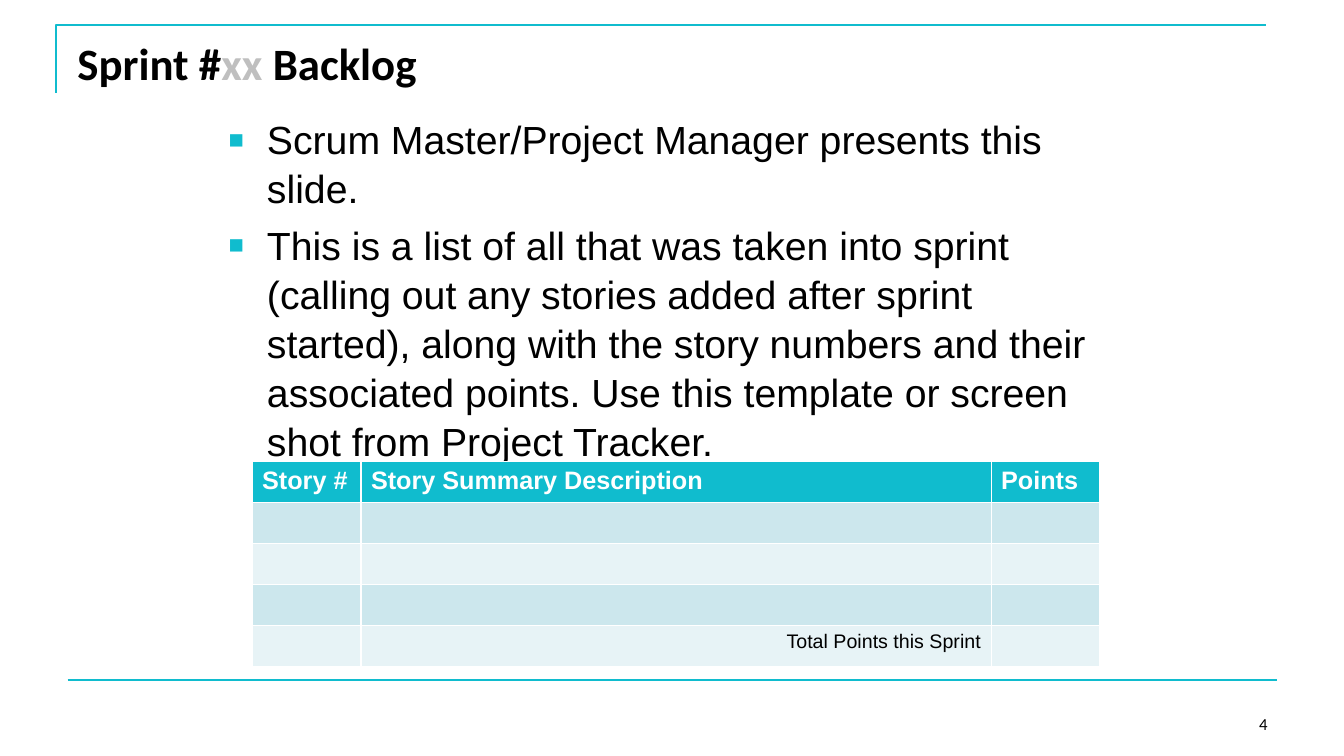
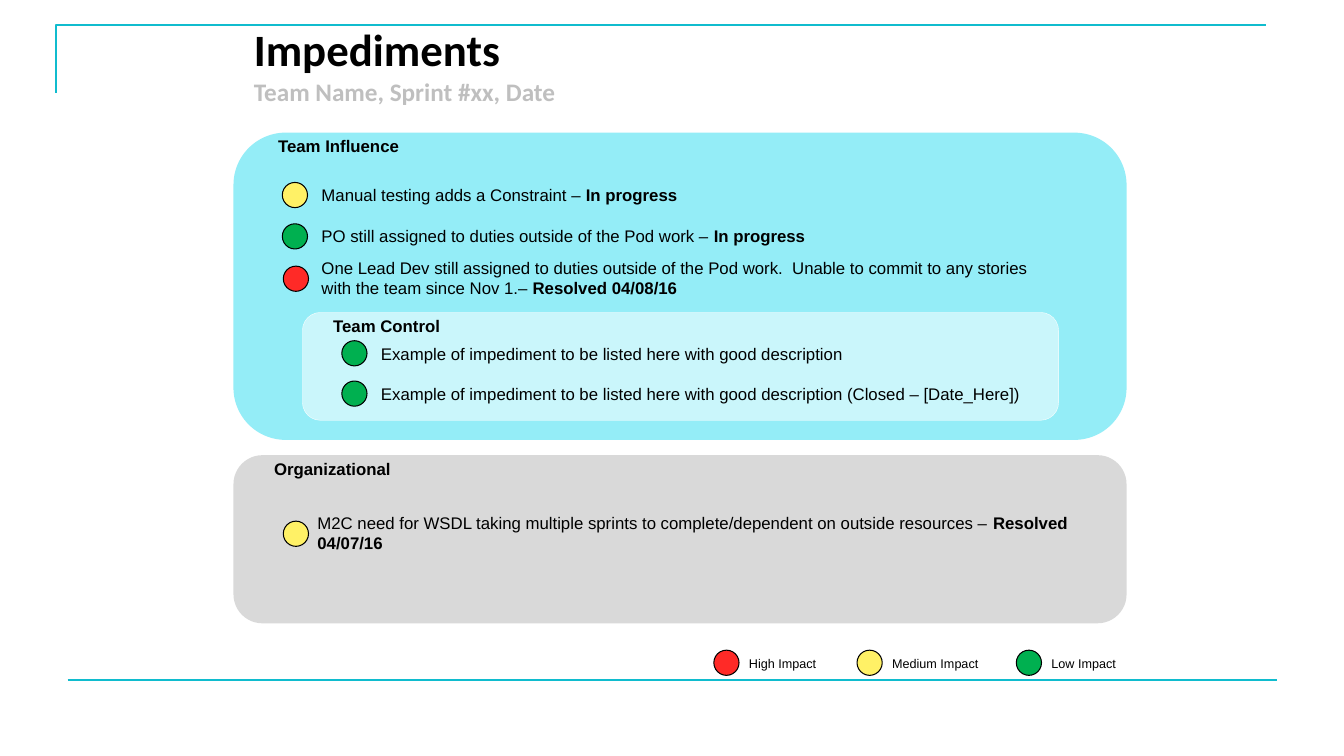
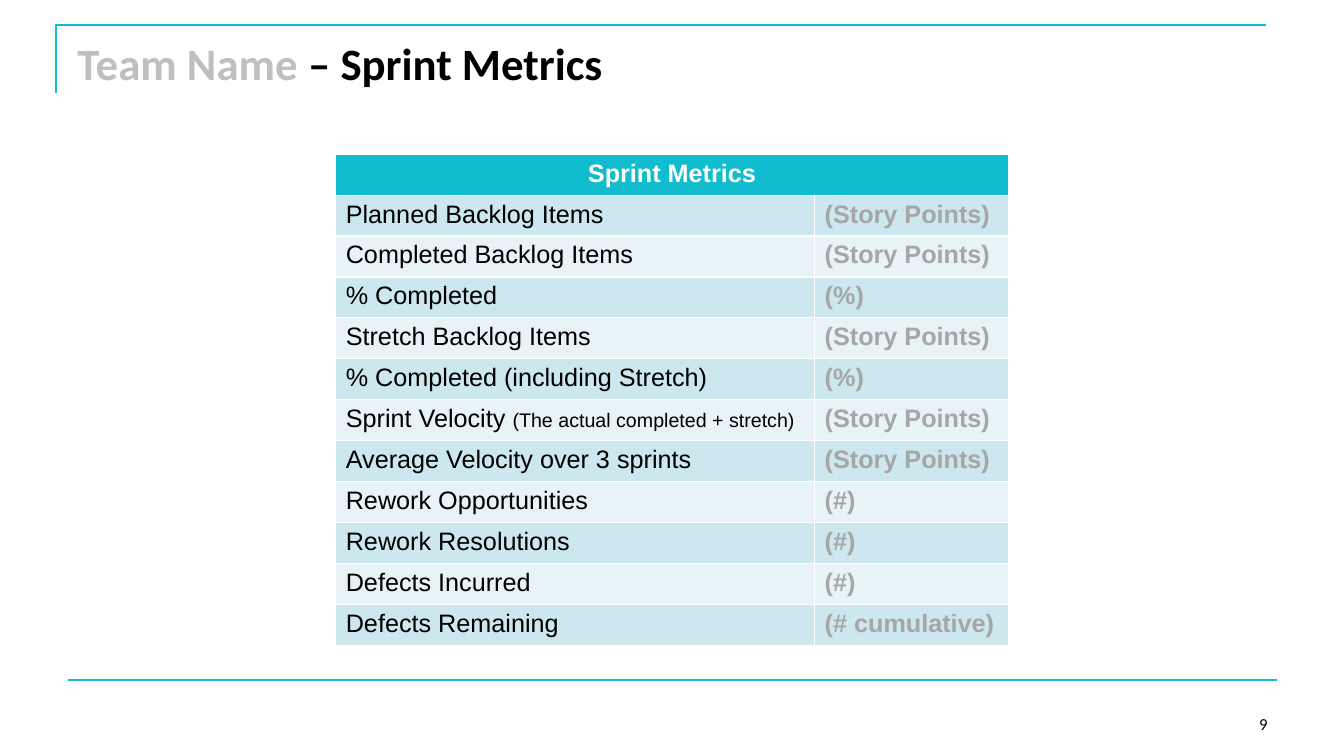
"""Build three sprint review slides: backlog, impediments and metrics."""
from dataclasses import dataclass
from typing import NamedTuple, Optional, Sequence

from lxml import etree
from pptx import Presentation
from pptx.dml.color import RGBColor
from pptx.enum.shapes import MSO_CONNECTOR, MSO_SHAPE
from pptx.enum.text import MSO_ANCHOR, PP_ALIGN
from pptx.oxml.ns import qn
from pptx.slide import Slide
from pptx.table import Table
from pptx.text.text import TextFrame
from pptx.util import Inches, Pt

STRAIGHT = MSO_CONNECTOR.STRAIGHT
ELLIPSE, ROUNDED = MSO_SHAPE.OVAL, MSO_SHAPE.ROUNDED_RECTANGLE
TOP, MIDDLE, BOTTOM = MSO_ANCHOR.TOP, MSO_ANCHOR.MIDDLE, MSO_ANCHOR.BOTTOM
LEFT, CENTER, RIGHT = PP_ALIGN.LEFT, PP_ALIGN.CENTER, PP_ALIGN.RIGHT

BLACK = RGBColor(0x00, 0x00, 0x00)
WHITE = RGBColor(0xFF, 0xFF, 0xFF)
TEAL = RGBColor(0x10, 0xBC, 0xCE)
PLACEHOLDER_GRAY = RGBColor(0xBF, 0xBF, 0xBF)
VALUE_GRAY = RGBColor(0xA6, 0xA6, 0xA6)
BAND_COLORS = (RGBColor(0xCC, 0xE7, 0xED), RGBColor(0xE7, 0xF3, 0xF6))
INFLUENCE_BLUE = RGBColor(0x94, 0xED, 0xF7)
CONTROL_BLUE = RGBColor(0xCA, 0xF6, 0xFB)
ORGANIZATION_GRAY = RGBColor(0xD9, 0xD9, 0xD9)
HIGH = RGBColor(0xFF, 0x2A, 0x27)
MEDIUM = RGBColor(0xFF, 0xF1, 0x66)
LOW = RGBColor(0x00, 0xB0, 0x50)

BODY_FONT, TITLE_FONT = "Arial", "Calibri"
ROW_HEIGHT = 0.406
DOT_SIZE = 0.25


class Box(NamedTuple):
    """Position and size in inches."""
    left: float
    top: float
    width: float
    height: float


class Run(NamedTuple):
    """A stretch of text in one style."""
    text: str
    color: RGBColor = BLACK
    bold: bool = False
    size: Optional[float] = None


Lines = Sequence[Sequence[Run]]


@dataclass(frozen=True)
class Panel:
    """A rounded area with a heading."""
    box: Box
    fill: RGBColor
    outline: RGBColor
    outline_width: float
    heading: str
    heading_box: Box
    heading_align: PP_ALIGN = LEFT


@dataclass(frozen=True)
class Marked:
    """An impact dot with the text beside it."""
    impact: RGBColor
    left: float
    top: float
    width: float
    lines: Lines
    text_dx: float = 0.29
    text_dy: float = -0.03
    height: float = 0.3
    size: float = 12


TITLE_BOX = Box(0.67, 0.3, 12, 1.25)

PANELS = (
    Panel(Box(2.33, 1.33, 8.83, 3.02), INFLUENCE_BLUE, INFLUENCE_BLUE, 2,
          "Team Influence", Box(2.66, 1.24, 1.67, 0.42)),
    Panel(Box(3, 3.1, 7.5, 1.07), CONTROL_BLUE, WHITE, 0.25,
          "Team Control", Box(3, 3.02, 1.67, 0.42), CENTER),
    Panel(Box(2.33, 4.53, 8.83, 1.64), ORGANIZATION_GRAY, ORGANIZATION_GRAY, 2,
          "Organizational", Box(2.62, 4.44, 1.67, 0.42)),
)

EXAMPLE = "Example of impediment to be listed here with good description"
IN_PROGRESS = Run("In progress", bold=True)
IMPEDIMENTS = (
    Marked(MEDIUM, 2.8, 1.81, 7.52,
           [[Run("Manual testing adds a Constraint – "), IN_PROGRESS]]),
    Marked(LOW, 2.8, 2.22, 5.74,
           [[Run("PO still assigned to duties outside of the Pod work – "), IN_PROGRESS]]),
    Marked(HIGH, 2.81, 2.64, 7.41,
           [[Run("One Lead Dev still assigned to duties outside of the Pod work.  "
                 "Unable to commit to any stories with the team since Nov 1.– "),
             Run("Resolved 04/08/16", bold=True)]],
           text_dx=0.28, text_dy=-0.13, height=0.5),
    Marked(LOW, 3.39, 3.38, 5.74, [[Run(EXAMPLE)]], text_dy=-0.02),
    Marked(LOW, 3.39, 3.78, 6.82, [[Run(EXAMPLE + " (Closed – [Date_Here])")]], text_dy=-0.02),
    Marked(MEDIUM, 2.81, 5.17, 8.04,
           [[Run("M2C need for WSDL taking multiple sprints to complete/dependent "
                 "on outside resources – "), Run("Resolved", bold=True)],
            [Run("04/07/16", bold=True)]],
           text_dx=0.24, text_dy=-0.13, height=0.71),
)
LEGEND = ((HIGH, "High Impact", 7.08), (MEDIUM, "Medium Impact", 8.5), (LOW, "Low Impact", 10.08))

POINTS, PERCENT, COUNT = "(Story Points)", "(%)", "(#)"
METRICS = (
    ("Planned Backlog Items", POINTS),
    ("Completed Backlog Items", POINTS),
    ("% Completed", PERCENT),
    ("Stretch Backlog Items", POINTS),
    ("% Completed (including Stretch)", PERCENT),
    ("Sprint Velocity ", POINTS),
    ("Average Velocity over 3 sprints", POINTS),
    ("Rework Opportunities", COUNT),
    ("Rework Resolutions", COUNT),
    ("Defects Incurred", COUNT),
    ("Defects Remaining", "(# cumulative)"),
)
METRIC_NOTES = {"Sprint Velocity ": "(The actual completed + stretch)"}


def inches(box: Box) -> list[Inches]:
    """Convert a box to lengths."""
    return [Inches(length) for length in box]


def write(frame: TextFrame, lines: Lines, size: float, font: str = BODY_FONT,
          align: PP_ALIGN = LEFT) -> None:
    """Fill a text frame with one paragraph per line."""
    for index, line in enumerate(lines):
        paragraph = frame.add_paragraph() if index else frame.paragraphs[0]
        paragraph.alignment = align
        paragraph.font.name = font
        paragraph.font.size = Pt(size)
        for part in line:
            run = paragraph.add_run()
            run.text = part.text
            run.font.bold = part.bold
            run.font.color.rgb = part.color
            if part.size:
                run.font.size = Pt(part.size)


def add_text(slide: Slide, box: Box, lines: Lines, size: float, font: str = BODY_FONT,
             align: PP_ALIGN = LEFT, anchor: MSO_ANCHOR = TOP) -> TextFrame:
    """Add a wrapping text box."""
    frame = slide.shapes.add_textbox(*inches(box)).text_frame
    frame.word_wrap = True
    frame.vertical_anchor = anchor
    write(frame, lines, size, font, align)
    return frame


def add_shape(slide: Slide, kind: MSO_SHAPE, box: Box, fill: RGBColor,
              outline: RGBColor, outline_width: float) -> None:
    """Add a flat filled shape."""
    shape = slide.shapes.add_shape(kind, *inches(box))
    shape.shadow.inherit = False
    shape.fill.solid()
    shape.fill.fore_color.rgb = fill
    shape.line.color.rgb = outline
    shape.line.width = Pt(outline_width)


def add_frame(slide: Slide) -> None:
    """Draw the corner rule and the footer rule."""
    builder = slide.shapes.build_freeform(Inches(0.56), Inches(0.92))
    builder.add_line_segments([(Inches(0.56), Inches(0.25)), (Inches(12.56), Inches(0.25))],
                              close=False)
    corner = builder.convert_to_shape()
    corner.shadow.inherit = False
    corner.fill.background()
    footer = slide.shapes.add_connector(STRAIGHT, Inches(0.67), Inches(6.75),
                                        Inches(12.67), Inches(6.75))
    etree.SubElement(footer._element.spPr, qn("a:effectLst"))
    for rule in (corner, footer):
        rule.line.color.rgb = TEAL
        rule.line.width = Pt(1.5)


def add_slide(deck: Presentation, title: Lines, title_box: Box = TITLE_BOX,
              number: Optional[int] = None) -> Slide:
    """Add a slide with the shared frame, title and page number."""
    slide = deck.slides.add_slide(deck.slide_layouts[6])
    add_frame(slide)
    add_text(slide, title_box, title, 32, TITLE_FONT)
    if number is not None:
        add_text(slide, Box(9.56, 6.83, 3.11, 0.5), [[Run(str(number))]], 12,
                 TITLE_FONT, RIGHT, BOTTOM)
    return slide


def add_bullets(slide: Slide, box: Box, items: Sequence[str]) -> None:
    """Add a list with square teal bullets."""
    frame = add_text(slide, box, [[Run(item)] for item in items], 28)
    for paragraph in frame.paragraphs:
        paragraph.space_before = Pt(5.6)
        paragraph.line_spacing = 1.04
        properties = paragraph._p.get_or_add_pPr()
        properties.set("marL", str(Inches(0.38)))
        properties.set("indent", str(-Inches(0.38)))
        color = etree.Element(qn("a:buClr"))
        etree.SubElement(color, qn("a:srgbClr"), val=str(TEAL))
        bullet = (color, etree.Element(qn("a:buSzPct"), val="65000"),
                  etree.Element(qn("a:buFont"), typeface=BODY_FONT),
                  etree.Element(qn("a:buChar"), char="■"))
        defaults = properties.find(qn("a:defRPr"))
        for element in bullet:
            defaults.addprevious(element)


def add_banded_table(slide: Slide, left: float, top: float, widths: Sequence[float],
                     row_count: int) -> Table:
    """Add an empty table with a teal header and banded rows."""
    box = Box(left, top, sum(widths), row_count * ROW_HEIGHT)
    table = slide.shapes.add_table(row_count, len(widths), *inches(box)).table
    for column, width in zip(table.columns, widths):
        column.width = Inches(width)
    for index, row in enumerate(table.rows):
        row.height = Inches(ROW_HEIGHT)
        for cell in row.cells:
            cell.fill.solid()
            cell.fill.fore_color.rgb = BAND_COLORS[(index - 1) % 2] if index else TEAL
    return table


def build_backlog(deck: Presentation) -> None:
    """Build the sprint backlog slide."""
    slide = add_slide(deck, [[Run("Sprint #", bold=True), Run("xx", PLACEHOLDER_GRAY, True),
                              Run(" Backlog", bold=True)]], number=4)
    add_bullets(slide, Box(2.17, 1.08, 9, 3.42), (
        "Scrum Master/Project Manager presents this slide.",
        "This is a list of all that was taken into sprint (calling out any stories added "
        "after sprint started), along with the story numbers and their associated points. "
        "Use this template or screen shot from Project Tracker.",
    ))
    stories = add_banded_table(slide, 2.5, 4.58, (1.08, 6.25, 1.08), 5)
    for column, heading in enumerate(("Story #", "Story Summary Description", "Points")):
        write(stories.cell(0, column).text_frame, [[Run(heading, WHITE, True)]], 18)
    write(stories.cell(4, 1).text_frame, [[Run("Total Points this Sprint")]], 14, align=RIGHT)


def add_marked(slide: Slide, item: Marked) -> None:
    """Draw an impact dot and its text."""
    add_shape(slide, ELLIPSE, Box(item.left, item.top, DOT_SIZE, DOT_SIZE),
              item.impact, BLACK, 0.75)
    add_text(slide, Box(item.left + item.text_dx, item.top + item.text_dy,
                        item.width, item.height), item.lines, item.size)


def build_impediments(deck: Presentation) -> None:
    """Build the impediments slide."""
    slide = add_slide(deck, [[Run("Impediments", bold=True)],
                             [Run("Team Name, Sprint #xx, Date", PLACEHOLDER_GRAY, True, 18)]],
                      Box(2.42, 0.17, 8.5, 0.83))
    for panel in PANELS:
        add_shape(slide, ROUNDED, panel.box, panel.fill, panel.outline, panel.outline_width)
        add_text(slide, panel.heading_box, [[Run(panel.heading, bold=True)]], 12,
                 align=panel.heading_align, anchor=MIDDLE)
    for impediment in IMPEDIMENTS:
        add_marked(slide, impediment)
    for impact, label, left in LEGEND:
        add_marked(slide, Marked(impact, left, 6.45, 1.08, [[Run(label)]],
                                 text_dx=0.25, text_dy=0.01, height=0.45, size=9))


def build_metrics(deck: Presentation) -> None:
    """Build the sprint metrics slide."""
    slide = add_slide(deck, [[Run("Team Name ", PLACEHOLDER_GRAY, True),
                              Run("– Sprint Metrics", bold=True)]], number=9)
    metrics = add_banded_table(slide, 3.33, 1.53, (4.75, 1.92), len(METRICS) + 1)
    header = metrics.cell(0, 0)
    header.merge(metrics.cell(0, 1))
    write(header.text_frame, [[Run("Sprint Metrics", WHITE, True)]], 18, align=CENTER)
    for row, (metric, value) in enumerate(METRICS, start=1):
        label = [Run(metric)]
        if metric in METRIC_NOTES:
            label.append(Run(METRIC_NOTES[metric], size=14))
        write(metrics.cell(row, 0).text_frame, [label], 18)
        write(metrics.cell(row, 1).text_frame, [[Run(value, VALUE_GRAY, True)]], 18)


def main() -> None:
    """Build and save the presentation."""
    deck = Presentation()
    deck.slide_width, deck.slide_height = Inches(13.33), Inches(7.5)
    for build in (build_backlog, build_impediments, build_metrics):
        build(deck)
    deck.save("out.pptx")


main()
